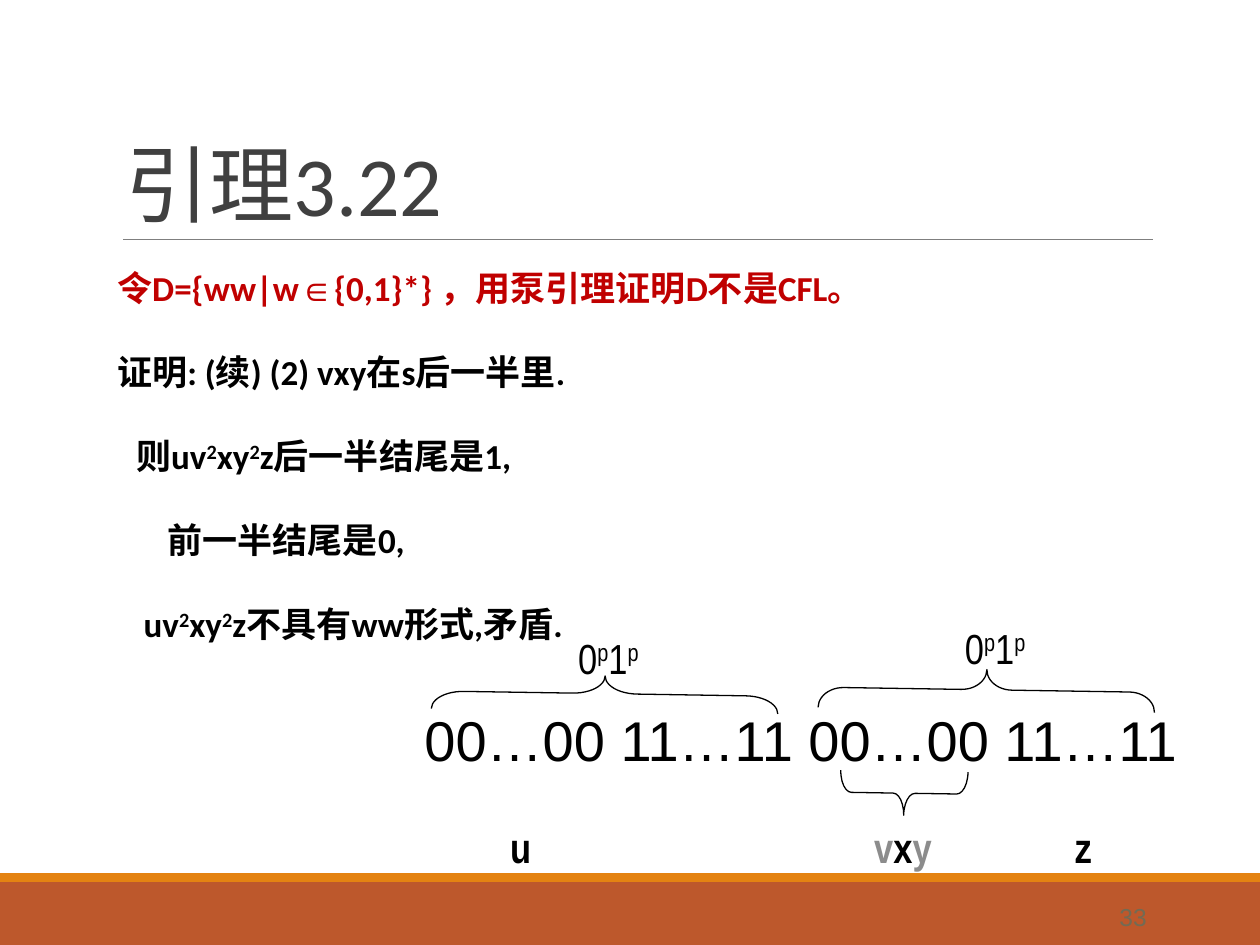
from pptx import Presentation
from pptx.dml.color import RGBColor
from pptx.enum.shapes import MSO_CONNECTOR, MSO_SHAPE
from pptx.enum.text import MSO_ANCHOR, PP_ALIGN
from pptx.oxml.ns import qn
from pptx.util import Inches, Pt
from lxml import etree

RECT, LEFT_BRACE = MSO_SHAPE.RECTANGLE, MSO_SHAPE.LEFT_BRACE
STRAIGHT = MSO_CONNECTOR.STRAIGHT
TOP, BOTTOM = MSO_ANCHOR.TOP, MSO_ANCHOR.BOTTOM
LEFT, RIGHT = PP_ALIGN.LEFT, PP_ALIGN.RIGHT

COLORS = {"rust": "BD582C", "orange": "E48312", "rule": "7F7F7F", "title": "404040",
          "claim": "C00000", "text": "000000", "faded": "8C8C8C", "number": "726B54"}

# A run is (text, changes); changes may hold font, color, or sup.
SUP = {"sup": True}
PUMPED = [("uv", {}), ("2", SUP), ("xy", {}), ("2", SUP)]
HALF = [("0", {}), ("p", SUP), ("1", {}), ("p", SUP)]
FADED = {"color": "faded"}

# Proof lines: left margin, line spacing, colour, runs
PROOF = [
    (0.1, 0.9, "claim", [("令D={ww|w", {}), ("∈", {"font": "Arial"}),
                         ("{0,1}*} ，用泵引理证明D不是CFL。", {})]),
    (0.1, 1.5, "text", [("证明: (续) (2) vxy在s后一半里.", {})]),
    (0.25, 1.5, "text", [("则", {}), *PUMPED, ("z后一半结尾是1,", {})]),
    (0.5, 1.5, "text", [("前一半结尾是0,", {})]),
    (0.31, 1.5, "text", [*PUMPED, ("z不具有ww形式,矛盾.", {})]),
]

# Labels: left, top, width, bold, runs
LABELS = [
    (4.49, 4.97, 0.75, False, HALF),
    (7.56, 4.89, 0.75, False, HALF),
    (3.95, 6.47, 0.5, True, [("u", {})]),
    (6.84, 6.47, 0.67, True, [("v", FADED), ("x", {}), ("y", FADED)]),
    (8.43, 6.47, 0.59, True, [("z", {})]),
]

# Braces: box before rotation, rotation, curl
BRACES = [
    ((4.66, 4.13, 0.28, 2.75), 90.9, 0.92),
    ((7.67, 4.14, 0.32, 2.67), 90.9, 0.63),
    ((7, 5.79, 0.35, 1.01), 270.9, 0.25),
]


def rgb(name):
    return RGBColor.from_string(COLORS[name])


def add_box(slide, box, anchor=TOP, wrap=False, side_inset=0.1):
    frame = slide.shapes.add_textbox(*map(Inches, box)).text_frame
    frame.word_wrap = wrap
    frame.vertical_anchor = anchor
    frame.margin_left = frame.margin_right = Inches(side_inset)
    return frame


def write(paragraph, runs, size, font, color, bold=False, align=LEFT):
    paragraph.alignment = align
    for text, changes in runs:
        run = paragraph.add_run()
        run.text = text
        run.font.size = Pt(size)
        run.font.bold = bold
        run.font.name = changes.get("font", font)
        run.font.color.rgb = rgb(changes.get("color", color))
        if changes.get("sup"):
            run.font._element.set("baseline", "30000")


def add_band(slide, top, height, color):
    band = slide.shapes.add_shape(RECT, 0, Inches(top), Inches(10), Inches(height))
    band.shadow.inherit = False
    band.fill.solid()
    band.fill.fore_color.rgb = rgb(color)
    band.line.fill.background()


def add_brace(slide, box, rotation, curl):
    brace = slide.shapes.add_shape(LEFT_BRACE, *map(Inches, box))
    brace.shadow.inherit = False
    brace.rotation = rotation
    brace.adjustments[0] = curl
    brace.fill.background()
    brace.line.color.rgb = rgb("text")
    brace.line.width = Pt(0.75)


def add_rule(slide, left, right, y):
    rule = slide.shapes.add_connector(STRAIGHT, *map(Inches, (left, y, right, y)))
    rule.line.color.rgb = rgb("rule")
    rule.line.width = Pt(0.5)
    etree.SubElement(rule._element.spPr, qn("a:effectLst"))


def main():
    deck = Presentation()
    deck.slide_width, deck.slide_height = Inches(10), Inches(7.5)
    slide = deck.slides.add_slide(deck.slide_layouts[6])

    add_band(slide, 7, 0.5, "rust")
    add_band(slide, 6.93, 0.07, "orange")
    add_rule(slide, 0.98, 9.15, 1.9)

    title = add_box(slide, (0.9, 0.31, 8.25, 1.59), BOTTOM, wrap=True).paragraphs[0]
    title.line_spacing = 0.85
    write(title, [("引理3.22", {})], 48, "Calibri", "title")

    proof = add_box(slide, (0.83, 2.1, 8.11, 4.65), wrap=True, side_inset=0)
    for i, (margin, spacing, color, runs) in enumerate(PROOF):
        line = proof.add_paragraph() if i else proof.paragraphs[0]
        line._p.get_or_add_pPr().set("marL", str(Inches(margin)))
        line.line_spacing = spacing
        if i:
            line.space_before = Pt(12)
        write(line, runs, 20, "Calibri", color, bold=True)

    word = add_box(slide, (3.27, 5.55, 6.22, 1.17)).paragraphs[0]
    write(word, [("00…00 11…11 00…00 11…11", {})], 32, "Arial", "text")
    for brace in BRACES:
        add_brace(slide, *brace)
    for left, top, width, bold, runs in LABELS:
        label = add_box(slide, (left, top, width, 0.5)).paragraphs[0]
        write(label, runs, 24, "Arial Narrow", "text", bold)

    number = add_box(slide, (8.2, 7.11, 1, 0.33)).paragraphs[0]
    write(number, [("33", {})], 14, "Arial", "number", align=RIGHT)

    deck.save("out.pptx")


if __name__ == "__main__":
    main()
